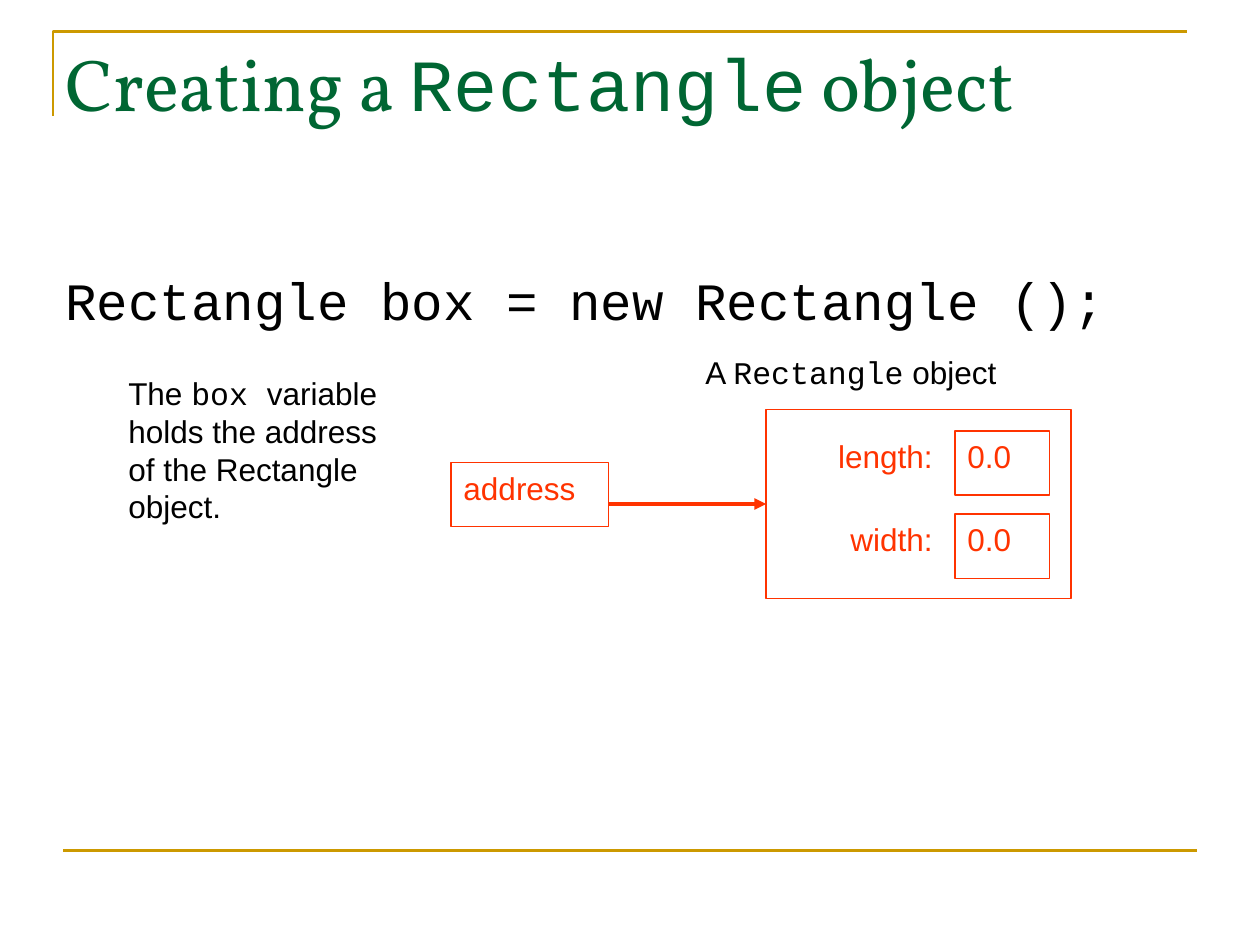
"""Slide showing how a variable refers to a Rectangle object."""
from lxml.etree import SubElement
from pptx import Presentation
from pptx.dml.color import RGBColor
from pptx.enum.shapes import MSO_CONNECTOR, MSO_SHAPE
from pptx.enum.text import MSO_ANCHOR, PP_ALIGN
from pptx.oxml.ns import qn
from pptx.util import Inches, Pt

GOLD = RGBColor(0xCC, 0x99, 0x00)
GREEN = RGBColor(0x00, 0x66, 0x33)
RED = RGBColor(0xFF, 0x33, 0x00)
BLACK = RGBColor(0x00, 0x00, 0x00)
SANS, MONO, SERIF = "Arial", "Courier New", "Vollkorn"

prs = Presentation()
prs.slide_width, prs.slide_height = Inches(10), Inches(7.5)
s = prs.slides.add_slide(prs.slide_layouts[6])


def add_text(sp, runs, size, color, align=PP_ALIGN.LEFT, top=0.05):
    tf = sp.text_frame
    frame = {"word_wrap": True, "vertical_anchor": MSO_ANCHOR.TOP, "margin_top": Inches(top)}
    for name, value in frame.items():
        setattr(tf, name, value)
    p = tf.paragraphs[0]
    p.alignment = align
    for text, font in runs:
        r = p.add_run()
        r.text = text
        for name, value in {"name": font, "size": Pt(size)}.items():
            setattr(r.font, name, value)
        r.font.color.rgb = color


def add_line(x1, y1, x2, y2, color, width):
    cn = s.shapes.add_connector(MSO_CONNECTOR.STRAIGHT, Inches(x1), Inches(y1), Inches(x2), Inches(y2))
    cn.line.color.rgb = color
    cn.line.width = Pt(width)
    SubElement(cn._element.spPr, qn("a:effectLst"))
    return cn


builder = s.shapes.build_freeform(Inches(0.42), Inches(0.92))
builder.add_line_segments([(Inches(0.42), Inches(0.25)), (Inches(9.42), Inches(0.25))], close=False)
corner = builder.convert_to_shape()
corner.shadow.inherit = False
corner.fill.background()
corner.line.color.rgb = GOLD
corner.line.width = Pt(1.5)
add_line(0.5, 6.75, 9.5, 6.75, GOLD, 1.5)

boxes = [
    (6.08, 3.25, 2.42, 1.5, ""),
    (3.58, 3.67, 1.25, 0.51, "address"),
]
texts = [
    (0.42, 0.25, 8.5, 1.25, [("Creating a ", SERIF), ("Rectangle", MONO), (" object", SERIF)],
     {"size": 42, "color": GREEN}),
    (0.42, 2, 9.08, 0.75, [("Rectangle box = new Rectangle ();", MONO)],
     {"size": 30, "color": BLACK, "top": 0.13}),
    (0.92, 2.92, 2.33, 2.1,
     [("The ", SANS), ("box ", MONO), ("variable holds the address of the Rectangle object.", SANS)],
     {"size": 18, "color": BLACK}),
    (5.5, 2.75, 3.92, 0.5, [("A ", SANS), ("Rectangle", MONO), (" object", SANS)],
     {"size": 18, "color": BLACK}),
]
for field, y in (("length:", 3.42), ("width:", 4.08)):
    boxes.append((7.58, y, 0.75, 0.51, "0.0"))
    texts.append((6.25, y, 1.25, 0.5, [(field, SANS)],
                  {"size": 18, "color": RED, "align": PP_ALIGN.RIGHT}))

for x, y, w, h, text in boxes:
    sp = s.shapes.add_shape(MSO_SHAPE.RECTANGLE, Inches(x), Inches(y), Inches(w), Inches(h))
    sp.shadow.inherit = False
    sp.fill.background()
    sp.line.color.rgb = RED
    sp.line.width = Pt(0.75)
    if text:
        add_text(sp, [(text, SANS)], 18, RED)

for x, y, w, h, runs, style in texts:
    add_text(s.shapes.add_textbox(Inches(x), Inches(y), Inches(w), Inches(h)), runs, **style)

arrow = add_line(4.83, 4, 6.08, 4, RED, 2.25)
SubElement(arrow.line._get_or_add_ln(), qn("a:tailEnd"), type="triangle")

prs.save("out.pptx")
